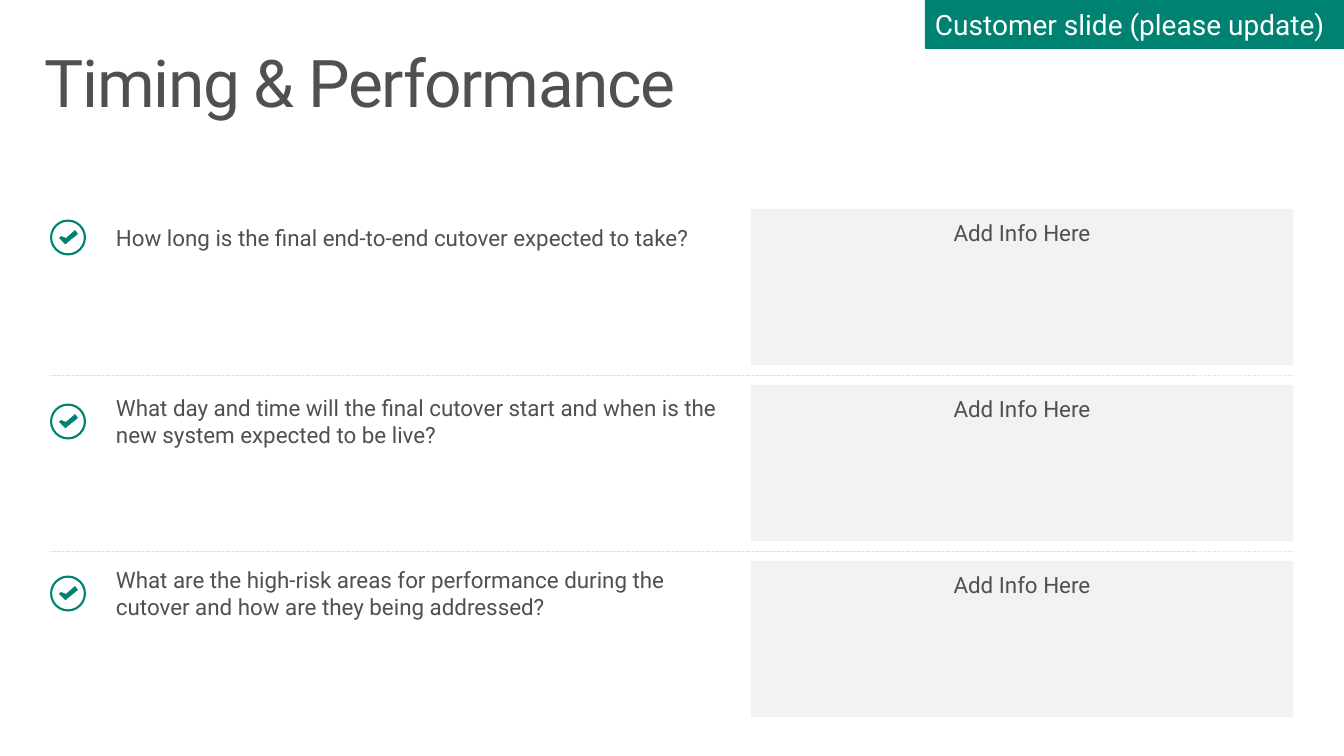
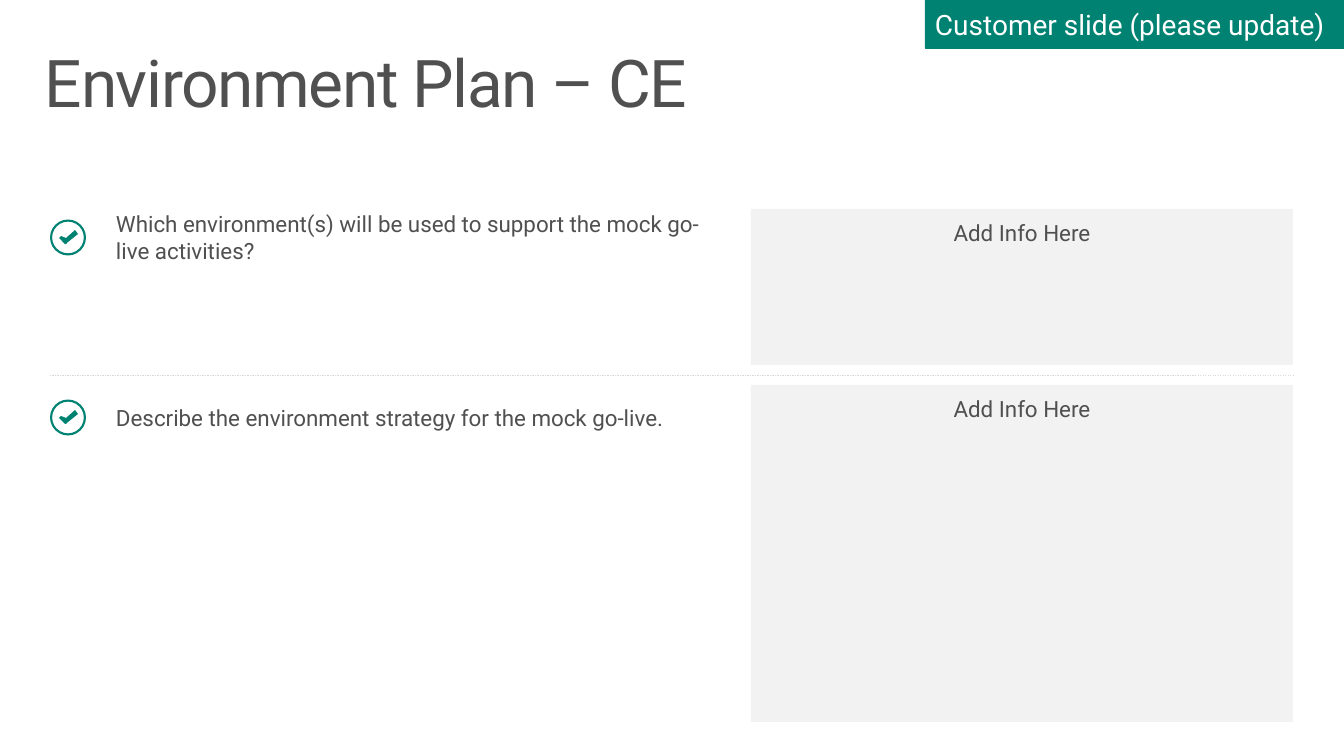
from lxml.etree import SubElement
from pptx import Presentation
from pptx.dml.color import RGBColor
from pptx.enum.dml import MSO_LINE
from pptx.enum.shapes import MSO_CONNECTOR, MSO_SHAPE
from pptx.enum.text import MSO_ANCHOR, PP_ALIGN
from pptx.oxml.ns import qn
from pptx.util import Pt

# Each row: question, height of its text, height of its answer box
SLIDES = [
    ("Timing & Performance", [
        ("How long is the final end-to-end cutover expected to take?", 57, 156),
        ("What day and time will the final cutover start and when is the "
         "new system expected to be live?", 65, 156),
        ("What are the high-risk areas for performance during the cutover "
         "and how are they being addressed?", 57, 156),
    ]),
    ("Environment Plan – CE", [
        ("Which environment(s) will be used to support the mock go-live "
         "activities?", 57, 156),
        ("Describe the environment strategy for the mock go-live.", 57, 337),
    ]),
]
BANNER = "Customer slide (please update)"
ANSWER = "Add Info Here"

TEAL, GREY, PALE, RULE, WHITE = "008272", "505050", "F2F2F2", "D9D9D9", "FFFFFF"
FONT = "Roboto"
TITLE_STYLE = {"size": Pt(47), "color": GREY}
BODY_STYLE = {"size": Pt(16), "color": GREY}
BANNER_STYLE = {"size": Pt(20), "color": WHITE}

SCALE = 914400 / 100.8  # EMU per px
WIDTH, HEIGHT = 1344, 756
LEFT, RIGHT = 50, 1293
TITLE_BOX = (29, 41, 1285, 99)
BANNER_BOX = (925, 0, 419, 48)
FIRST_TOP, PITCH = 209, 176
RULE_GAP = 10  # from a rule down to the answer box below it
QUESTION_DROP = 4  # question below the box top, after a rule
QUESTION_X, QUESTION_W = 55, 680
ANSWER_X = 751
RING, RING_THICKNESS = 36, 0.06
TICK = [(7, -7), (-2, 1), (-7, -2), (-9, 1), (-3, 6), (-2, 7), (0, 5), (10, -4)]


def px(*values):
    return [round(v * SCALE) for v in values]


def rgb(code):
    return RGBColor.from_string(code)


def put_text(sp, text, style, insets=(10, 5, 10, 5), anchor=MSO_ANCHOR.TOP,
             align=PP_ALIGN.LEFT):
    """Fill a shape with one paragraph; insets are left, top, right, bottom."""
    tf = sp.text_frame
    left, top, right, bottom = px(*insets)
    frame = {"word_wrap": True, "vertical_anchor": anchor, "margin_left": left,
             "margin_top": top, "margin_right": right, "margin_bottom": bottom}
    for name, value in frame.items():
        setattr(tf, name, value)
    p = tf.paragraphs[0]
    p.alignment = align
    r = p.add_run()
    r.text = text
    r.font.name, r.font.size = FONT, style["size"]
    r.font.color.rgb = rgb(style["color"])
    return p, r


def paint(sp, fill):
    sp.shadow.inherit = False
    sp.fill.solid()
    sp.fill.fore_color.rgb = rgb(fill)
    sp.line.fill.background()
    return sp


def add_block(shapes, kind, box, fill):
    return paint(shapes.add_shape(kind, *px(*box)), fill)


def add_rule(shapes, y):
    line = shapes.add_connector(MSO_CONNECTOR.STRAIGHT, *px(LEFT, y, RIGHT, y))
    line.line.color.rgb = rgb(RULE)
    line.line.width = Pt(0.25)
    line.line.dash_style = MSO_LINE.DASH
    SubElement(line._element.spPr, qn("a:effectLst"))


def add_check(shapes, middle):
    """Ringed tick centred on the given height."""
    ring = add_block(shapes, MSO_SHAPE.DONUT,
                     (LEFT, middle - RING / 2, RING, RING), TEAL)
    ring.adjustments[0] = RING_THICKNESS
    points = [(LEFT + RING / 2 + x, middle + y) for x, y in TICK]
    builder = shapes.build_freeform(*points[0], scale=SCALE)
    builder.add_line_segments(points[1:], close=True)
    paint(builder.convert_to_shape(), TEAL)


def add_question(slide, text, top, height):
    shapes = slide.shapes.add_group_shape().shapes
    sp = shapes.add_textbox(*px(QUESTION_X, top, QUESTION_W, height))
    put_text(sp, text, BODY_STYLE, (61, 5, 10, 5), MSO_ANCHOR.MIDDLE)
    add_check(shapes, top + height / 2)


def add_frame(slide, title):
    """Title and banner shared by all slides."""
    sp = slide.shapes.add_textbox(*px(*TITLE_BOX))
    p, r = put_text(sp, title, TITLE_STYLE, (16, 10, 16, 10))
    p.line_spacing = 0.9
    r.font._element.set("spc", "-100")
    sp = add_block(slide.shapes, MSO_SHAPE.RECTANGLE, BANNER_BOX, TEAL)
    sp.line.color.rgb = rgb(TEAL)
    sp.line.width = Pt(0.25)
    put_text(sp, BANNER, BANNER_STYLE, anchor=MSO_ANCHOR.MIDDLE)


def add_rows(slide, rows):
    for i, (question, text_height, box_height) in enumerate(rows):
        top = FIRST_TOP + i * PITCH
        if i:
            add_rule(slide.shapes, top - RULE_GAP)
        add_question(slide, question, top + (QUESTION_DROP if i else 0), text_height)
        box = (ANSWER_X, top, RIGHT - ANSWER_X, box_height)
        sp = add_block(slide.shapes, MSO_SHAPE.RECTANGLE, box, PALE)
        put_text(sp, ANSWER, BODY_STYLE, (10, 10, 10, 5), align=PP_ALIGN.CENTER)


def main():
    prs = Presentation()
    prs.slide_width, prs.slide_height = px(WIDTH, HEIGHT)
    for title, rows in SLIDES:
        slide = prs.slides.add_slide(prs.slide_layouts[6])
        add_frame(slide, title)
        add_rows(slide, rows)
    prs.save("out.pptx")


if __name__ == "__main__":
    main()
